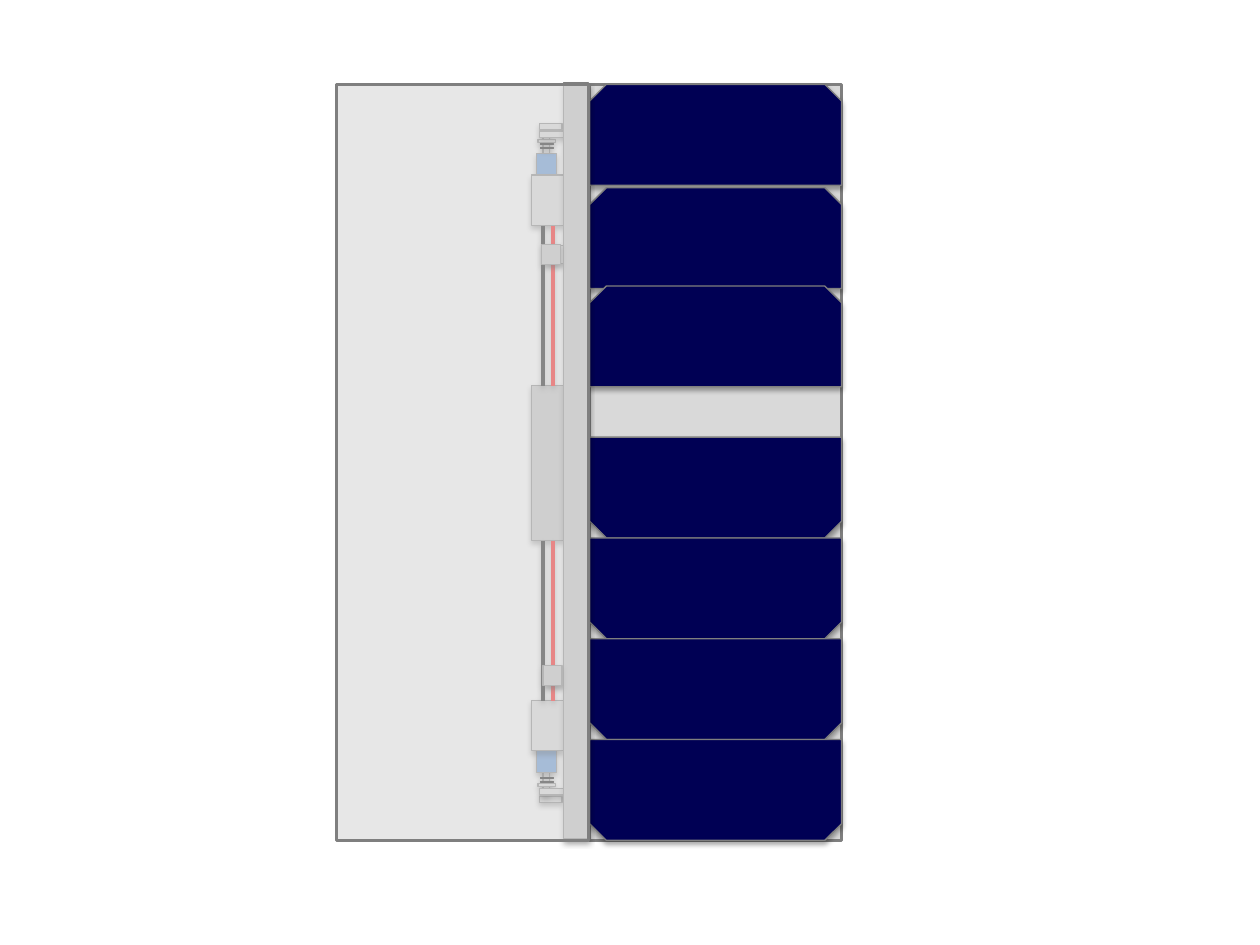
from lxml import etree
from pptx import Presentation, util as u
from pptx.dml.color import RGBColor
from pptx.enum import shapes as e
from pptx.oxml import ns

COLS, ROWS = 1000, 750
UNIT = u.Inches(0.01)
KIND = e.MSO_SHAPE

NAVY = RGBColor(0x00, 0x00, 0x54)
BLUE = RGBColor(0x55, 0x8E, 0xD5)
RED = RGBColor(0xFF, 0x00, 0x00)
BLACK = RGBColor(0x00, 0x00, 0x00)
PALE = RGBColor(0xD9, 0xD9, 0xD9)
GREY = RGBColor(0xBF, 0xBF, 0xBF)
EDGE = RGBColor(0x7F, 0x7F, 0x7F)

SOFT = {"blurRad": u.Pt(3.1), "dist": u.Pt(1.8), "alpha": 35000}
WIRE = {"blurRad": u.Pt(3.1), "dist": u.Pt(1.6), "alpha": 38000}


def shade(item, form):
    root = etree.SubElement(item._element.spPr, ns.qn("a:effectLst"))
    if form:
        cast = etree.SubElement(root, ns.qn("a:outerShdw"), dir="5400000", rotWithShape="0")
        for key in ("blurRad", "dist"):
            cast.set(key, str(int(form[key])))
        tint = etree.SubElement(cast, ns.qn("a:srgbClr"), val="000000")
        etree.SubElement(tint, ns.qn("a:alpha"), val=str(form["alpha"]))


def stroke(item, color, width):
    item.line.color.rgb = color
    for key, val in {"width": u.Pt(width)}.items():
        setattr(item.line, key, val)


def part(page, box, fill, edge=EDGE, width=0.75, kind=KIND.RECTANGLE, flip=False, cast=SOFT):
    item = page.shapes.add_shape(kind, *(int(n * UNIT) for n in box))
    item.fill.solid()
    item.fill.fore_color.rgb = fill
    stroke(item, edge, width)
    shade(item, cast)
    if flip:
        item._element.spPr.xfrm.set("flipV", "1")
    return item


def wire(page, x, top, end, color):
    ends = (x, top, x, end)
    item = page.shapes.add_connector(e.MSO_CONNECTOR.STRAIGHT, *(int(n * UNIT) for n in ends))
    stroke(item, color, 2)
    shade(item, WIRE)


def drive(page, box, flip):
    left, top, wide, high = box

    def place(x, y, w, h):
        return left + x, top + (high - y - h if flip else y), w, h

    for spot, fill in (
        ((6, 0, 18, 5), PALE),
        ((9, 6, 5, 26), PALE),
        ((4, 24, 16, 52), BLUE),
    ):
        part(page, place(*spot), fill, flip=flip)
    coil = part(page, place(5, 16, 14, 4), BLACK, BLACK, kind=KIND.MATH_EQUAL, flip=flip)
    for i, val in enumerate((0.235, 0.53)):
        coil.adjustments[i] = val
    part(page, place(5, 13, 14, 2), PALE, flip=flip)
    part(page, place(0, 41, wide, 40), PALE, flip=flip)
    for x, color in ((9, BLACK), (17, RED)):
        _, y, _, h = place(x, 81, 0, high - 81)
        wire(page, left + x, y, y + h, color)


def array(page, box):
    left, top, wide, high = box
    for x, y, h in ((-40, 37, 5), (-40, 559, 5), (-33, 128, 14), (-33, 463, 14)):
        part(page, (left + x, top + y, -x, h), PALE)
    part(page, box, PALE, width=2, cast=None)
    cell = 80
    upper = [(y, False) for y in (0, 82, 160)]
    lower = [(high - n * cell, True) for n in (4, 3, 2, 1)]
    for y, flip in upper + lower:
        part(page, (left, top + y, wide, cell), NAVY,
             kind=KIND.SNIP_2_SAME_RECTANGLE, flip=flip)


def bay(page, box):
    left, top, wide, high = box
    part(page, (left + 180, top - 1, 20, high), GREY)
    for x, y in ((163, 127), (164, 461)):
        part(page, (left + x, top + y, 15, 16), GREY)
    cover = part(page, box, PALE, width=2, cast=None)
    tint = cover._element.spPr.find(ns.qn("a:solidFill"))[0]
    etree.SubElement(tint, ns.qn("a:alpha"), val="62000")


def main():
    deck = Presentation()
    for key, val in {"slide_width": COLS * UNIT, "slide_height": ROWS * UNIT}.items():
        setattr(deck, key, val)
    page = deck.slides.add_slide(deck.slide_layouts[6])
    part(page, (422, 306, 25, 123), GREY)
    drive(page, (422, 429, 25, 208), True)
    drive(page, (422, 98, 25, 208), False)
    array(page, (468, 67, 200, 600))
    bay(page, (267, 67, 200, 600))
    deck.save("out.pptx")


if __name__ == "__main__":
    main()
